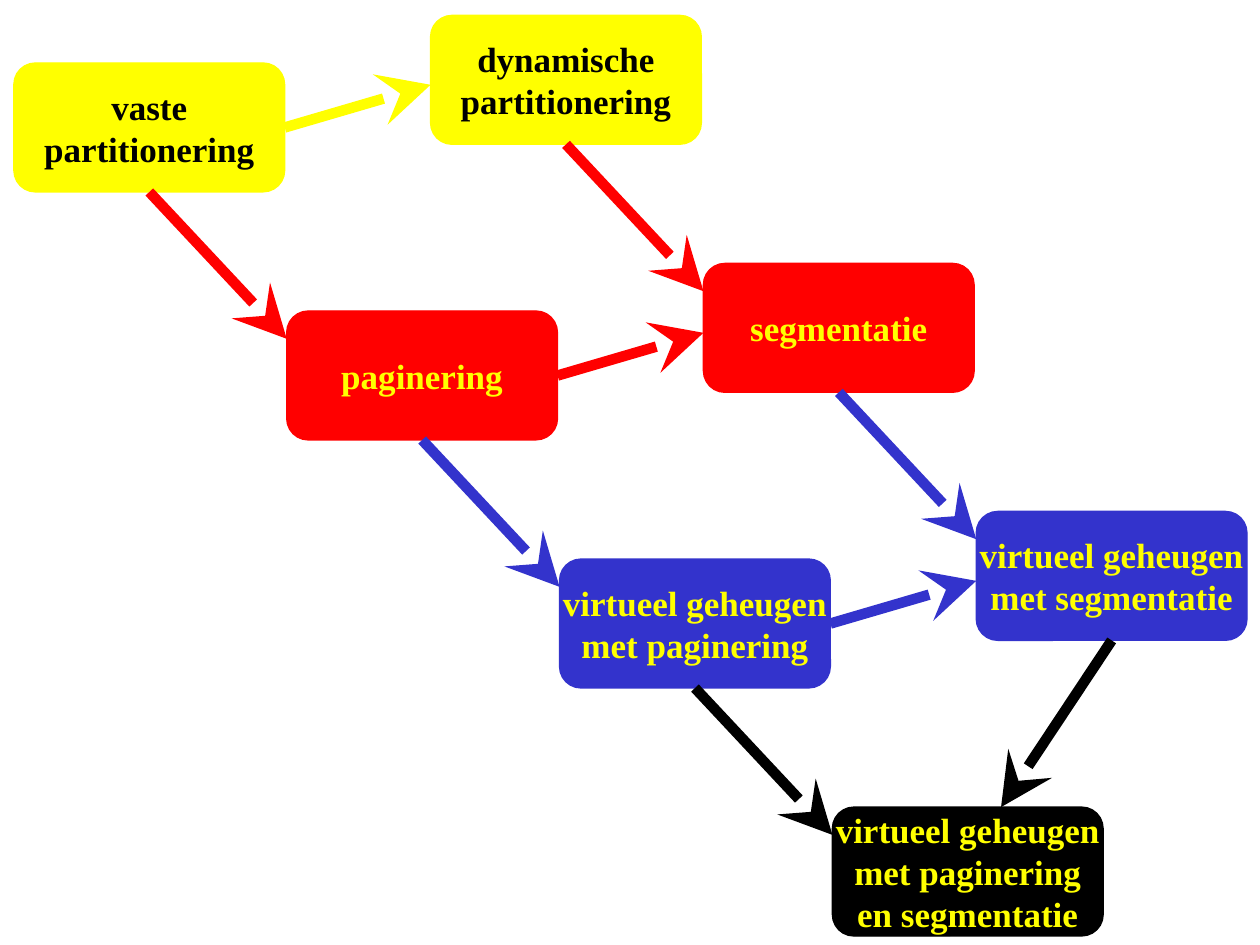
from lxml.etree import SubElement
from pptx import Presentation
from pptx.dml.color import RGBColor
from pptx.enum.shapes import MSO_CONNECTOR as LINE, MSO_SHAPE as SHAPE
from pptx.enum.text import MSO_ANCHOR as ANCHOR, PP_ALIGN as ALIGN
from pptx.oxml.ns import qn
from pptx.util import Cm, Pt

YELLOW = RGBColor(0xFF, 0xFF, 0x00)
RED = RGBColor(0xFF, 0x00, 0x00)
BLUE = RGBColor(0x33, 0x33, 0xCC)
BLACK = RGBColor(0x00, 0x00, 0x00)

# name: (text, step down the diagonal, lane, fill, font colour)
BOXES = {
    "fixed": ("vaste\npartitionering", 0, 0, YELLOW, BLACK),
    "page": ("paginering", 1, 0, RED, YELLOW),
    "vpage": ("virtueel geheugen\nmet paginering", 2, 0, BLUE, YELLOW),
    "dyn": ("dynamische\npartitionering", 0, 1, YELLOW, BLACK),
    "seg": ("segmentatie", 1, 1, RED, YELLOW),
    "vseg": ("virtueel geheugen\nmet segmentatie", 2, 1, BLUE, YELLOW),
    "both": ("virtueel geheugen\nmet paginering\nen segmentatie", 3, 0, BLACK, YELLOW),
}

BOTTOM, RIGHT = 2, 3
# start site and the end point's offset from the target's top left corner
ACROSS = (RIGHT, Cm(0), Cm(1.4))
DOWN = (BOTTOM, Cm(0), Cm(0.56))
BACK = (BOTTOM, Cm(3.4), Cm(0))
ARROWS = [
    ("fixed", "dyn", ACROSS),
    ("fixed", "page", DOWN),
    ("page", "seg", ACROSS),
    ("page", "vpage", DOWN),
    ("dyn", "seg", DOWN),
    ("seg", "vseg", DOWN),
    ("vpage", "vseg", ACROSS),
    ("vpage", "both", DOWN),
    ("vseg", "both", BACK),
]

LEFT, TOP = Cm(0.28), Cm(1.27)
WIDTH, HEIGHT = Cm(5.46), Cm(2.6)
STEP = Cm(5.5), Cm(5)
LANE = Cm(8.4), Cm(-0.96)


def add_box(slide, text, step, lane, fill, ink):
    x = LEFT + step * STEP[0] + lane * LANE[0]
    y = TOP + step * STEP[1] + lane * LANE[1]
    box = slide.shapes.add_shape(SHAPE.ROUNDED_RECTANGLE, x, y, WIDTH, HEIGHT)
    box.shadow.inherit = False
    box.fill.solid()
    box.fill.fore_color.rgb = fill
    box.line.color.rgb = fill
    box.line.width = Pt(0.75)
    frame = box.text_frame
    frame.word_wrap = False
    frame.vertical_anchor = ANCHOR.MIDDLE
    frame.text = text
    for par in frame.paragraphs:
        par.alignment = ALIGN.CENTER
        par.font.name = "Times New Roman"
        par.font.size = Pt(20)
        par.font.bold = True
        par.font.color.rgb = ink
    return box


def add_arrow(slide, start, goal, route, color):
    site, dx, dy = route
    arrow = slide.shapes.add_connector(
        LINE.STRAIGHT, start.left, start.top, goal.left + dx, goal.top + dy)
    arrow.begin_connect(start, site)
    arrow.line.color.rgb = color
    arrow.line.width = Pt(6)
    SubElement(arrow.line._get_or_add_ln(), qn("a:tailEnd"),
               type="stealth", w="lg", len="lg")
    SubElement(arrow._element.spPr, qn("a:effectLst"))


def main():
    deck = Presentation()
    deck.slide_width, deck.slide_height = Cm(25.4), Cm(19.05)
    slide = deck.slides.add_slide(deck.slide_layouts[6])
    boxes = {name: add_box(slide, *item) for name, item in BOXES.items()}
    for start, goal, route in ARROWS:
        color = BOXES[goal][3]
        add_arrow(slide, boxes[start], boxes[goal], route, color)
    deck.save("out.pptx")


if __name__ == "__main__":
    main()
